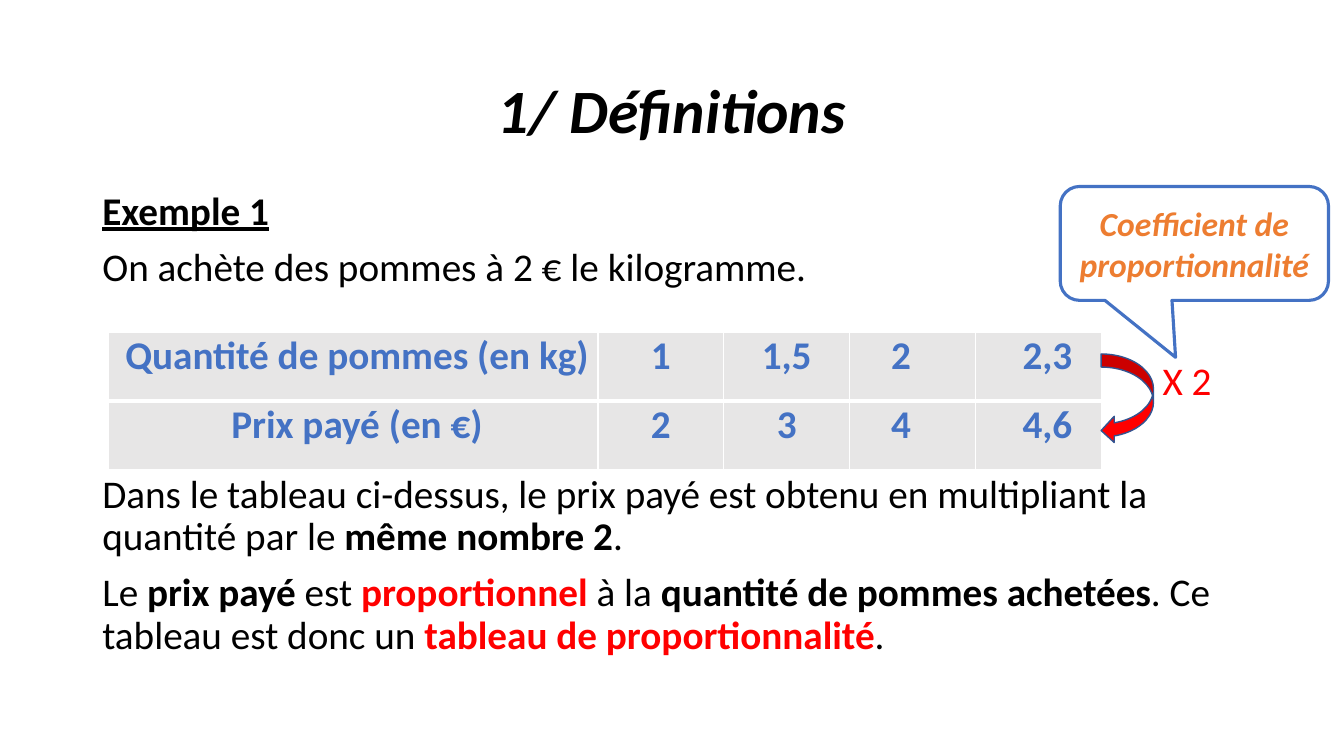
import lxml.etree
import pptx
import pptx.dml.color
import pptx.enum.shapes
import pptx.enum.text
import pptx.oxml.ns
import pptx.util

Cm = pptx.util.Cm
Pt = pptx.util.Pt
ALIGN = pptx.enum.text.PP_ALIGN
ANCHOR = pptx.enum.text.MSO_ANCHOR
SHAPE = pptx.enum.shapes.MSO_SHAPE

COLORS = {"black": "000000", "white": "FFFFFF", "red": "FF0000", "blue": "4472C4",
          "navy": "325491", "orange": "ED7D31", "grey": "E7E6E6"}

BOLD = {"bold": True}
KEY_TERM = {"bold": True, "color": "red"}
BODY = {"line_spacing": 0.9, "space_before": Pt(10)}
CENTRED = {"alignment": ALIGN.CENTER}


def rgb(name):
    return pptx.dml.color.RGBColor.from_string(COLORS[name])


def apply(target, values):
    for name, value in values.items():
        setattr(target, name, value)


class SlideBuilder:
    """Holds the page and its base text style; lengths are in centimetres."""

    def __init__(self, page):
        self.page = page
        self.base = {"name": "Calibri", "size": Pt(28), "color": "black"}

    def fill_text(self, frame, paras, para_format, **style):
        """Fill a text frame; each paragraph is a list of (text, format) spans."""
        for index, spans in enumerate(paras):
            para = frame.paragraphs[0] if index == 0 else frame.add_paragraph()
            apply(para, para_format)
            for text, extra in spans:
                span = para.add_run()
                span.text = text
                values = {**self.base, **style, **extra}
                span.font.color.rgb = rgb(values.pop("color"))
                apply(span.font, values)

    def text(self, place, paras, para_format, anchor=ANCHOR.TOP, **style):
        box = self.page.shapes.add_textbox(*map(Cm, place))
        apply(box.text_frame, {"word_wrap": True, "vertical_anchor": anchor})
        self.fill_text(box.text_frame, paras, para_format, **style)

    def shape(self, kind, place, fill, line, width):
        shape = self.page.shapes.add_shape(kind, *map(Cm, place))
        shape.shadow.inherit = False
        shape.fill.solid()
        shape.fill.fore_color.rgb = rgb(fill)
        shape.line.color.rgb = rgb(line)
        shape.line.width = Pt(width)
        return shape

    def borders(self, cell, widths):
        """Draw white cell borders, widths in points by side."""
        properties = cell._tc.get_or_add_tcPr()
        qn = pptx.oxml.ns.qn
        for side, width in widths.items():
            line = lxml.etree.SubElement(properties, qn(f"a:ln{side}"), w=str(Pt(width)))
            fill = lxml.etree.SubElement(line, qn("a:solidFill"))
            lxml.etree.SubElement(fill, qn("a:srgbClr"), val=COLORS["white"])

    def table(self, left, top, widths, row_height, rows, indents):
        """Indents give the (left, right) paragraph margins of each column."""
        frame = self.page.shapes.add_table(
            len(rows), len(widths), Cm(left), Cm(top), Cm(sum(widths)), Cm(row_height * len(rows)))
        grid = frame.table
        for column, width in zip(grid.columns, widths):
            column.width = Cm(width)
        for r, values in enumerate(rows):
            grid.rows[r].height = Cm(row_height)
            for c, value in enumerate(values):
                cell = grid.cell(r, c)
                self.borders(cell, {"L": 1, "R": 1, "T": 3 if r else 1, "B": 1 if r else 3})
                cell.fill.solid()
                cell.fill.fore_color.rgb = rgb("grey")
                apply(cell, {f"margin_{side}": 0 for side in ("left", "right", "top", "bottom")})
                self.fill_text(cell.text_frame, [[(value, BOLD)]],
                               {**CENTRED, "space_before": Pt(3.3)}, color="blue")
                margins = cell.text_frame.paragraphs[0]._p.get_or_add_pPr()
                for name, indent in zip(("marL", "marR"), indents[c]):
                    margins.set(name, str(Cm(indent)))


def main():
    deck = pptx.Presentation()
    apply(deck, {"slide_width": Cm(33.87), "slide_height": Cm(19.05)})
    slide = SlideBuilder(deck.slides.add_slide(deck.slide_layouts[6]))

    slide.text((2.33, 1.02, 29.21, 3.68), [[("1/ Définitions", {})]],
               {**CENTRED, "line_spacing": 0.9}, ANCHOR.MIDDLE,
               size=Pt(44), bold=True, italic=True)
    slide.text((2.33, 4.7, 24, 3), [
        [("Exemple 1", {"bold": True, "underline": True})],
        [("On achète des pommes à 2 € le kilogramme.", {})],
    ], BODY)
    slide.text((29.05, 9, 2.5, 1.4), [[("X 2", {})]], BODY, color="red")
    slide.text((2.33, 11.83, 29.21, 5.3), [
        [("Dans le tableau ci-dessus, le prix payé est obtenu en multipliant la quantité par le ", {}),
         ("même nombre 2", BOLD), (".", {})],
        [("Le ", {}), ("prix payé ", BOLD), ("est ", {}), ("proportionnel ", KEY_TERM),
         ("à la ", {}), ("quantité de pommes achetées", BOLD), (". Ce tableau est donc un ", {}),
         ("tableau de proportionnalité", KEY_TERM), (".", {})],
    ], BODY)

    slide.table(2.72, 8.38, [12.35] + [3.17] * 4, 1.73, [
        ["Quantité de pommes (en kg)", "1", "1,5", "2", "2,3"],
        ["Prix payé (en €)", "2", "3", "4", "4,6"],
    ], [(0.2, 0), (0, 0), (0, 0), (0, 0.58), (0.46, 0)])

    slide.shape(SHAPE.CURVED_LEFT_ARROW, (27.75, 8.92, 1.32, 2.26), "red", "navy", 1)
    callout = slide.shape(SHAPE.ROUNDED_RECTANGULAR_CALLOUT, (26.72, 4.7, 6.76, 2.87),
                          "white", "blue", 2.25)
    for index, value in enumerate((-0.07, 1, 0.17)):
        callout.adjustments[index] = value
    apply(callout.text_frame, {"word_wrap": True, "vertical_anchor": ANCHOR.MIDDLE})
    slide.fill_text(callout.text_frame, [[("Coefficient de", {})], [("proportionnalité", {})]],
                    CENTRED, size=Pt(24), bold=True, italic=True, color="orange")

    deck.save("out.pptx")


if __name__ == "__main__":
    main()
